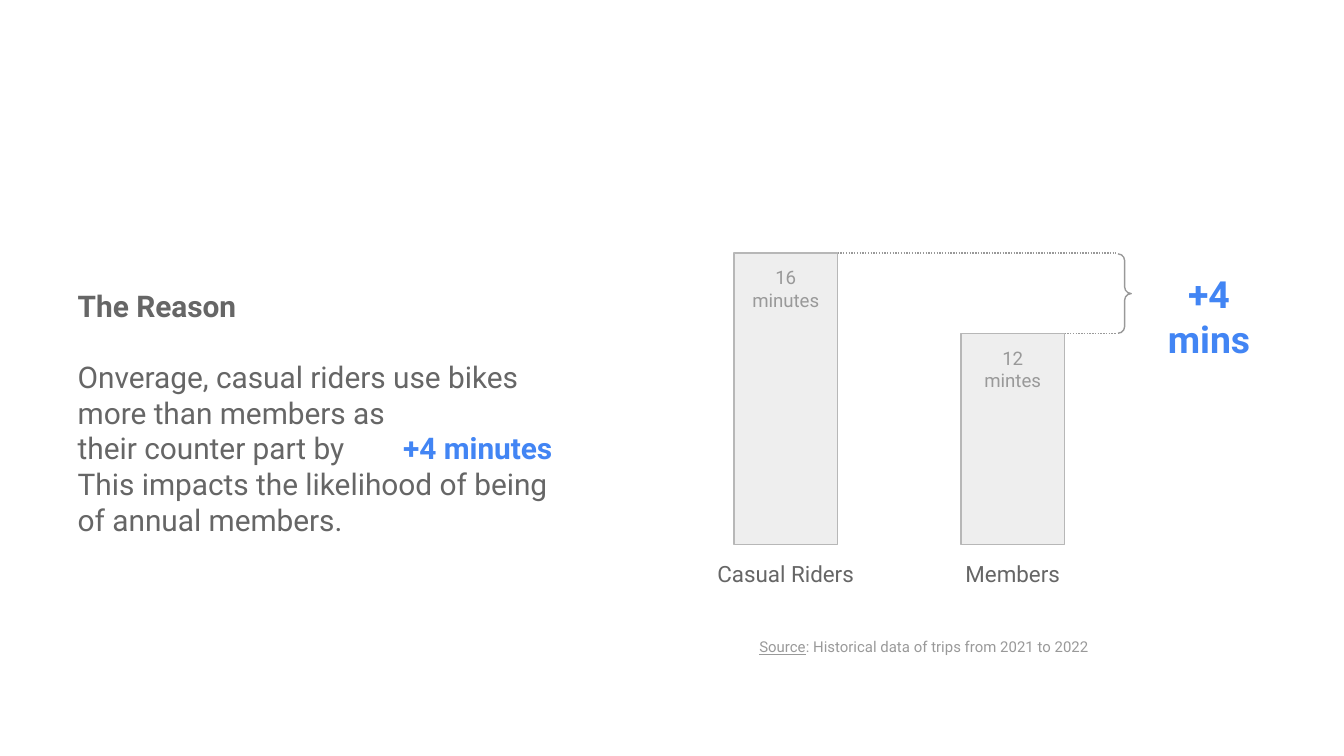
from lxml.etree import SubElement
from pptx import Presentation
from pptx.dml.color import RGBColor
from pptx.enum.dml import MSO_LINE
from pptx.enum.shapes import MSO_CONNECTOR, MSO_SHAPE
from pptx.enum.text import PP_ALIGN
from pptx.oxml.ns import qn
from pptx.util import Cm, Pt

FONT = "Roboto"
DARK, MUTED, BLUE = "666666", "999999", "4285F4"
BAR_FILL, BAR_LINE = "EEEEEE", "B7B7B7"


def color(value):
    return RGBColor.from_string(value)


def apply_format(target, values):
    for name, value in values.items():
        setattr(target, name, value)


def add_text(page, box, paragraphs, size, ink, align=PP_ALIGN.LEFT):
    frame = page.shapes.add_textbox(*map(Cm, box)).text_frame
    margins = ("margin_left", "margin_top", "margin_right", "margin_bottom")
    apply_format(frame, {"word_wrap": True, **dict.fromkeys(margins, Cm(0.25))})
    for index, spans in enumerate(paragraphs):
        para = frame.paragraphs[0] if index == 0 else frame.add_paragraph()
        para.alignment = align
        for text, changes in spans:
            span = para.add_run()
            span.text = text
            values = {"name": FONT, "size": Pt(size), "bold": False, **changes}
            span.font.color.rgb = color(values.pop("ink", ink))
            apply_format(span.font, values)
    return frame


def add_outline(page, kind, box, line, fill=None):
    shape = page.shapes.add_shape(kind, *map(Cm, box))
    shape.shadow.inherit = False
    if fill:
        shape.fill.solid()
        shape.fill.fore_color.rgb = color(fill)
    else:
        shape.fill.background()
    shape.line.color.rgb = color(line)
    shape.line.width = Pt(0.75)
    return shape


def add_dotted_line(page, left, right, top):
    line = page.shapes.add_connector(
        MSO_CONNECTOR.STRAIGHT, Cm(left), Cm(top), Cm(right), Cm(top))
    line.line.color.rgb = color(MUTED)
    apply_format(line.line, {"width": Pt(0.75), "dash_style": MSO_LINE.ROUND_DOT})
    SubElement(line._element.spPr, qn("a:effectLst"))


def add_reason(page, box):
    frame = add_text(page, box, [
        [("The Reason", {"bold": True})],
        [("Onverage, casual riders use bikes more than members as", {})],
        [("their counter part by\t", {}), ("+4 minutes", {"bold": True, "ink": BLUE})],
        [("This impacts the likelihood of being of annual members.", {})],
    ], 16, DARK)
    frame.paragraphs[0].space_after = Pt(19)
    tabs = SubElement(frame.paragraphs[2]._p.get_or_add_pPr(), qn("a:tabLst"))
    SubElement(tabs, qn("a:tab"), pos=str(Cm(6.15)), algn="l")


def add_comparison(page, box):
    left, top, width, height = box
    bar_width, label_width, bar_step = 1.96, 4, 4.29
    brace_left = left + 7.26
    bars = [
        ("Casual Riders", ["16", "minutes"], 5.51),
        ("Members", ["12 mintes"], 3.99),
    ]
    for index, (name, value, bar_height) in enumerate(bars):
        bar_left = left + index * bar_step
        bar_top = top + height - bar_height
        add_outline(page, MSO_SHAPE.RECTANGLE,
                    (bar_left, bar_top, bar_width, bar_height), BAR_LINE, BAR_FILL)
        add_text(page, (bar_left, bar_top, bar_width, 1.37),
                 [[(line, {})] for line in value], 10, MUTED, PP_ALIGN.CENTER)
        label_left = bar_left + (bar_width - label_width) / 2
        add_text(page, (label_left, top + height + 0.05, label_width, 1.02),
                 [[(name, {})]], 12, DARK, PP_ALIGN.CENTER)
        add_dotted_line(page, bar_left + bar_width, brace_left - 0.04, bar_top)

    gap = bars[0][2] - bars[1][2]
    brace = add_outline(page, MSO_SHAPE.RIGHT_BRACE,
                        (brace_left, top + 0.02, 0.25, gap - 0.02), MUTED)
    brace.adjustments[0] = 0.5
    brace.adjustments[1] = 0.5
    delta_left = brace_left + 0.26
    add_text(page, (delta_left, top + 0.1, left + width - delta_left, 2.24),
             [[("+4 mins", {"bold": True})]], 20, BLUE, PP_ALIGN.CENTER)


def add_source(page, box):
    add_text(page, box, [[
        ("Source", {"underline": True}),
        (": Historical data of trips from 2021 to 2022", {}),
    ]], 8, MUTED)


def main():
    deck = Presentation()
    apply_format(deck, {"slide_width": Cm(25.4), "slide_height": Cm(14.29)})
    page = deck.slides.add_slide(deck.slide_layouts[6])
    add_reason(page, (1.22, 5.18, 9.75, 5.31))
    add_comparison(page, (13.87, 4.78, 10.44, 5.51))
    add_source(page, (14.1, 11.89, 7.29, 0.86))
    deck.save("out.pptx")


if __name__ == "__main__":
    main()
